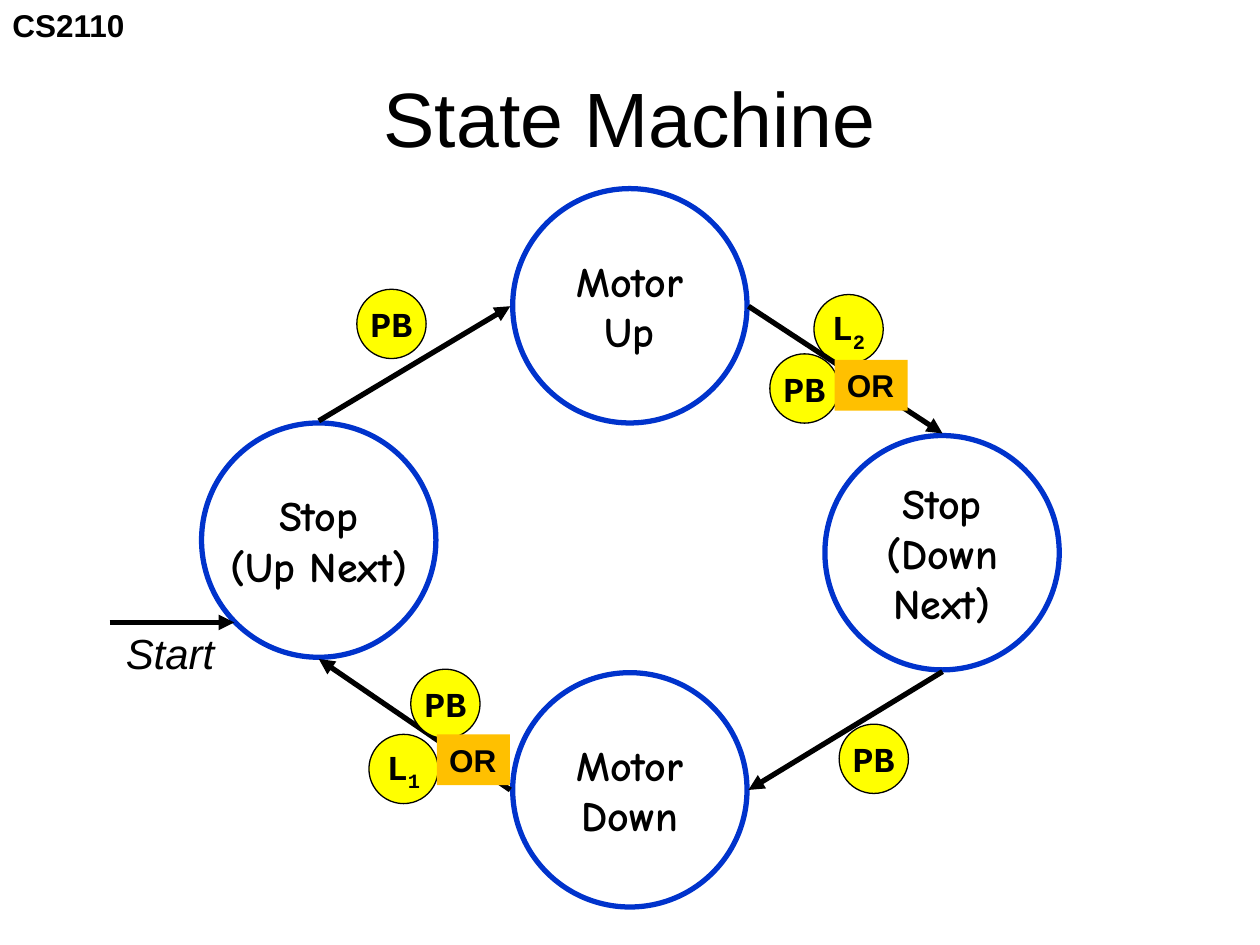
from dataclasses import dataclass

import lxml.etree
import pptx
import pptx.dml.color
import pptx.enum.shapes
import pptx.enum.text
import pptx.oxml.ns
import pptx.util

Pt = pptx.util.Pt
Shapes = pptx.enum.shapes.MSO_SHAPE
Align = pptx.enum.text.PP_ALIGN
Anchor = pptx.enum.text.MSO_ANCHOR
AutoSize = pptx.enum.text.MSO_AUTO_SIZE

COLORS = {
    "text": "000000",
    "state": "0033CC",
    "input": "FFFF00",
    "or": "FFC000",
}
STATE_SIZE = 133.9
INPUT_SIZE = 39.6
OR_WIDTH, OR_HEIGHT = 41.8, 29


@dataclass(frozen=True)
class State:
    name: str
    left: float
    top: float


@dataclass(frozen=True)
class Input:
    name: str
    left: float
    top: float
    index: str = ""


@dataclass(frozen=True)
class Transition:
    x1: float
    y1: float
    x2: float
    y2: float


STATES = [
    State("Motor\nUp", 293, 107.8),
    State("Motor\nDown", 293, 384.4),
    State("Stop\n(Up Next)", 115.2, 241.7),
    State("Stop\n(Down\nNext)", 471.4, 248.9),
]
INPUTS_BEHIND = [
    Input("L", 465.1, 168.3, "2"),
    Input("PB", 479.5, 413.8),
]
TRANSITIONS = [
    Transition(427.7, 175, 538.6, 247.7),
    Transition(538.6, 383.8, 427.7, 451.4),
    Transition(291.6, 451.4, 182.2, 376.6),
    Transition(182.2, 240.5, 291.6, 175),
    Transition(62.6, 355.7, 133.9, 355.7),
]
INPUTS_IN_FRONT = [
    Input("L", 210.8, 419.6, "1"),
    Input("PB", 203.9, 165.3),
    Input("PB", 439.9, 202.2),
    Input("PB", 234.7, 382.4),
]
OR_CORNERS = [(249.6, 419.6), (476.9, 205.7)]


def rgb(name: str):
    return pptx.dml.color.RGBColor.from_string(COLORS[name])


def write_text(frame, text: str, *, size: float, font: str = "Arial",
               bold: bool = False, italic: bool = False, align=Align.LEFT,
               anchor=Anchor.TOP, wrap: bool = False, fit=AutoSize.NONE,
               subscript: str = "") -> None:
    """Write one paragraph per line; the subscript follows the last line."""
    frame.word_wrap = wrap
    frame.auto_size = fit
    frame.vertical_anchor = anchor
    frame.text = text
    if subscript:
        index = frame.paragraphs[-1].add_run()
        index.text = subscript
        index._r.get_or_add_rPr().set("baseline", "-25000")
    for paragraph in frame.paragraphs:
        paragraph.alignment = align
        for run in paragraph.runs:
            run.font.name = font
            run.font.size = Pt(size)
            run.font.bold = bold
            run.font.italic = italic
            run.font.color.rgb = rgb("text")


def add_outline(slide, kind, left: float, top: float, width: float,
                height: float, *, fill: str = "", line: str = "",
                weight: float = 0):
    """Add a preset shape, without fill or line where no colour is named."""
    shape = slide.shapes.add_shape(kind, Pt(left), Pt(top), Pt(width), Pt(height))
    shape.shadow.inherit = False
    if fill:
        shape.fill.solid()
        shape.fill.fore_color.rgb = rgb(fill)
    else:
        shape.fill.background()
    if line:
        shape.line.color.rgb = rgb(line)
        shape.line.width = Pt(weight)
    else:
        shape.line.fill.background()
    return shape


def draw_state(slide, state: State) -> None:
    circle = add_outline(slide, Shapes.OVAL, state.left, state.top,
                         STATE_SIZE, STATE_SIZE, line="state", weight=3)
    write_text(circle.text_frame, state.name, size=24, font="Comic Neue",
               bold=True, align=Align.CENTER, anchor=Anchor.MIDDLE)


def draw_input(slide, signal: Input) -> None:
    circle = add_outline(slide, Shapes.OVAL, signal.left, signal.top,
                         INPUT_SIZE, INPUT_SIZE, fill="input", line="text",
                         weight=0.75)
    write_text(circle.text_frame, signal.name, size=20, font="Courier New",
               bold=True, align=Align.CENTER, anchor=Anchor.MIDDLE,
               subscript=signal.index)


def draw_transition(slide, transition: Transition) -> None:
    arrow = slide.shapes.add_connector(
        pptx.enum.shapes.MSO_CONNECTOR.STRAIGHT,
        Pt(transition.x1), Pt(transition.y1), Pt(transition.x2), Pt(transition.y2))
    arrow.line.color.rgb = rgb("text")
    arrow.line.width = Pt(3)
    qn = pptx.oxml.ns.qn
    lxml.etree.SubElement(arrow.line._get_or_add_ln(), qn("a:tailEnd"), type="triangle")
    lxml.etree.SubElement(arrow._element.spPr, qn("a:effectLst"))


def draw_or(slide, left: float, top: float) -> None:
    box = add_outline(slide, Shapes.RECTANGLE, left, top, OR_WIDTH, OR_HEIGHT, fill="or")
    write_text(box.text_frame, "OR", size=18, bold=True, fit=AutoSize.SHAPE_TO_FIT_TEXT)


def add_label(slide, text: str, left: float, top: float, width: float,
              height: float, **text_format) -> None:
    label = slide.shapes.add_textbox(Pt(left), Pt(top), Pt(width), Pt(height))
    write_text(label.text_frame, text, fit=AutoSize.SHAPE_TO_FIT_TEXT, **text_format)


def main() -> None:
    deck = pptx.Presentation()
    deck.slide_width, deck.slide_height = Pt(720), Pt(540)
    slide = deck.slides.add_slide(deck.slide_layouts.get_by_name("Title Only"))

    title = slide.shapes.title
    title.left, title.top, title.width, title.height = Pt(36), Pt(21.6), Pt(648), Pt(90)
    write_text(title.text_frame, "State Machine", size=44, align=Align.CENTER,
               anchor=Anchor.MIDDLE, wrap=True)
    add_label(slide, "CS2110", 0, 0, 79.2, 29, size=18, bold=True)

    for state in STATES:
        draw_state(slide, state)
    for signal in INPUTS_BEHIND:
        draw_input(slide, signal)
    for transition in TRANSITIONS:
        draw_transition(slide, transition)
    for signal in INPUTS_IN_FRONT:
        draw_input(slide, signal)
    add_label(slide, "Start", 64.8, 355, 67, 36, size=24, italic=True)
    for left, top in OR_CORNERS:
        draw_or(slide, left, top)

    deck.save("out.pptx")


if __name__ == "__main__":
    main()
